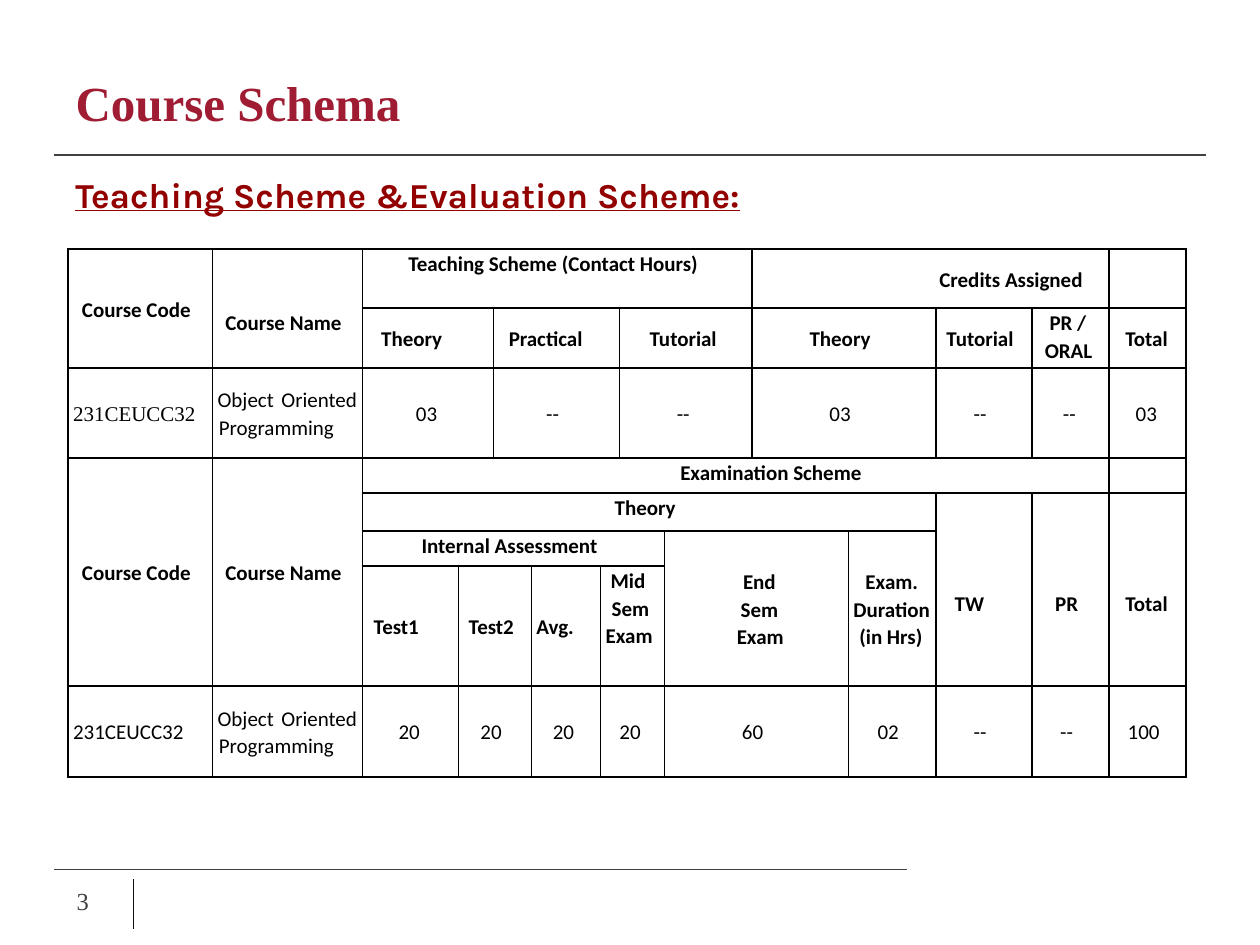
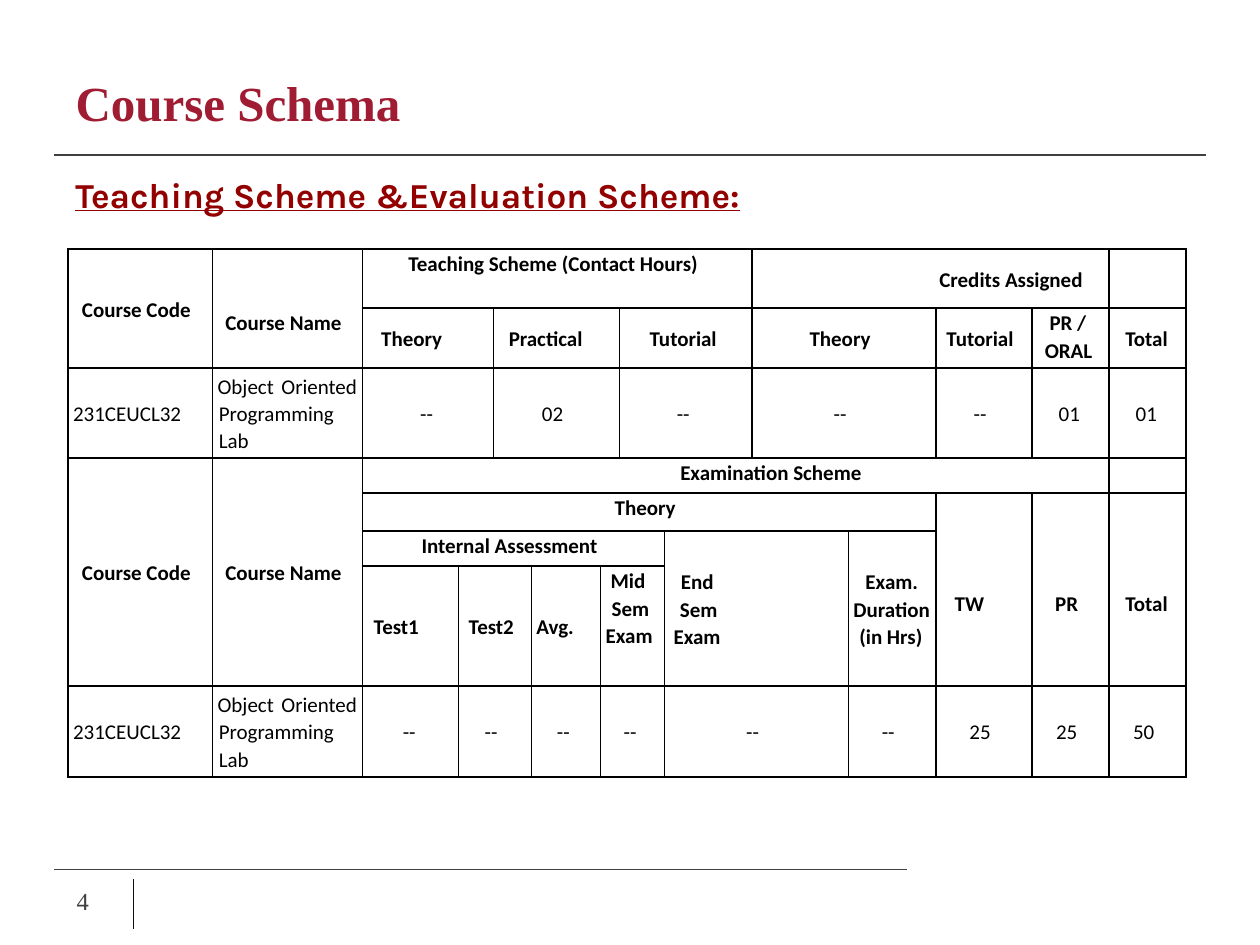
from lxml import etree
from pptx import Presentation
from pptx.dml.color import RGBColor
from pptx.enum.shapes import MSO_CONNECTOR
from pptx.enum.text import MSO_ANCHOR, MSO_AUTO_SIZE, PP_ALIGN
from pptx.oxml.ns import qn
from pptx.util import Pt

STRAIGHT = MSO_CONNECTOR.STRAIGHT
TOP, MIDDLE = MSO_ANCHOR.TOP, MSO_ANCHOR.MIDDLE
LEFT, CENTER, RIGHT, JUSTIFY = PP_ALIGN.LEFT, PP_ALIGN.CENTER, PP_ALIGN.RIGHT, PP_ALIGN.JUSTIFY
GROW = MSO_AUTO_SIZE.SHAPE_TO_FIT_TEXT

COLORS = {"title": "9F1C33", "subtitle": "920000", "rule": "404040",
          "divider": "0D0D0D", "number": "404040", "table": "000000"}
SERIF, SANS, DISPLAY = "Times New Roman", "Calibri", "Karla"
TITLE_ONLY_LAYOUT = 5

# Grid of the scheme table, in points
COLUMN_WIDTHS = [82.6, 85.6, 55, 20, 21.6, 39.6, 10.8, 25.8, 50, 55, 50, 55, 44, 44]
ROW_HEIGHTS = [33.7, 34.3, 51.4, 20, 21.7, 20, 68.6, 52]
HANGING = 0.7
LINE_DROP = 16.4

# Headings: row, column, (rows, columns), text, format
HEADINGS = [
    (0, 0, (2, 1), "Course Code", {}),
    (0, 1, (2, 1), "Course Name", {"top": LINE_DROP}),
    (0, 2, (1, 7), "Teaching Scheme (Contact Hours)", {"anchor": TOP}),
    (0, 9, (1, 4), "Credits Assigned", {"align": RIGHT, "right": 15}),
    (1, 2, (1, 2), "Theory", {"align": LEFT, "left": 11.5}),
    (1, 4, (1, 3), "Practical", {"align": LEFT, "left": 9.4}),
    (1, 7, (1, 2), "Tutorial", {"right": 3}),
    (1, 9, (1, 2), "Theory", {}),
    (1, 11, (1, 1), "Tutorial", {}),
    (1, 12, (1, 1), "PR / ORAL", {"anchor": TOP, "right": 3}),
    (1, 13, (1, 1), "Total", {"align": LEFT, "left": 10}),
    (3, 0, (4, 1), "Course Code", {}),
    (3, 1, (4, 1), "Course Name", {}),
    (3, 2, (1, 11), "Examination Scheme", {"anchor": TOP, "left": 47, "right": 6}),
    (4, 2, (1, 9), "Theory", {"anchor": TOP}),
    (4, 11, (3, 1), "TW", {"align": LEFT, "left": 11.5, "top": LINE_DROP}),
    (4, 12, (3, 1), "PR", {"top": LINE_DROP}),
    (4, 13, (3, 1), "Total", {"align": LEFT, "left": 10, "top": LINE_DROP}),
    (5, 2, (1, 6), "Internal Assessment", {"anchor": TOP}),
    (5, 10, (2, 1), [("Exam.", 10.5), ("Duration", 3.6), ("(in Hrs)", 7)],
     {"align": LEFT, "right": 0}),
    (6, 2, (1, 1), "Test1", {"align": LEFT, "left": 7.2}),
    (6, 3, (1, 2), "Test2", {"align": LEFT, "left": 6.5}),
    (6, 5, (1, 1), "Avg.", {"align": LEFT, "left": 3.6}),
    (6, 6, (1, 2), [("Mid", 6.4), ("Sem", 7), ("Exam", 3.6)],
     {"align": LEFT, "anchor": TOP, "right": 0}),
]

# Value cells: column, columns spanned, right inset
TEACHING_SLOTS = [(2, 2, 1.5), (4, 3, 4.5), (7, 2, 3), (9, 2, 4.5),
                  (11, 1, 4.5), (12, 1, 1.5), (13, 1, 1.5)]
EXAM_SLOTS = [(2, 1, 1.5), (3, 2, 4.5), (5, 1, 3), (6, 2, 3), (8, 2, 4.5),
              (10, 1, 4.5), (11, 1, 4.5), (12, 1, 4.5), (13, 1, 4.5)]

COURSES = [
    {"number": "3", "code": "231CEUCC32", "name": "Object Oriented Programming",
     "first_code_font": SERIF,
     "teaching": ["03", "--", "--", "03", "--", "--", "03"],
     "exam": ["20", "20", "20", "20", "60", "02", "--", "--", "100"],
     "end_sem": [("End", 4), ("Sem", 4), ("Exam", 5)],
     "end_sem_format": {"right": 0}},
    {"number": "4", "code": "231CEUCL32", "name": "Object Oriented Programming Lab",
     "first_code_font": SANS,
     "teaching": ["--", "02", "--", "--", "--", "01", "01"],
     "exam": ["--", "--", "--", "--", "--", "--", "25", "25", "50"],
     "end_sem": [("End", 10), ("Sem", 9.4), ("Exam", 5.8)],
     "end_sem_format": {"align": LEFT}},
]


def add_span(para, text, font, size, color, bold=False, underline=False):
    span = para.add_run()
    span.text = text
    span.font.name = font
    span.font.size = Pt(size)
    span.font.bold = bold
    span.font.underline = underline
    span.font.color.rgb = RGBColor.from_string(COLORS[color])


def add_rule(page, start, end, color):
    rule = page.shapes.add_connector(STRAIGHT, *(Pt(v) for v in start + end))
    rule.line.color.rgb = RGBColor.from_string(COLORS[color])
    rule.line.width = Pt(0.75)
    etree.SubElement(rule._element.spPr, qn("a:effectLst"))


def add_label(page, area, text, font, size, color, **style):
    box = page.shapes.add_textbox(*(Pt(v) for v in area))
    frame = box.text_frame
    frame.word_wrap = True
    add_span(frame.paragraphs[0], text, font, size, color, **style)
    return frame


def add_title(page, text):
    title = page.shapes.title
    title.left, title.top, title.width, title.height = Pt(36), Pt(26), Pt(648), Pt(65)
    title.text_frame.vertical_anchor = MIDDLE
    para = title.text_frame.paragraphs[0]
    para.alignment = LEFT
    add_span(para, text, SERIF, 28, "title", bold=True)


def add_frame(page, number):
    """Rules and page number shared by all pages."""
    add_rule(page, (31, 88.5), (689, 88.5), "rule")
    add_rule(page, (31, 496.7), (518.5, 496.7), "rule")
    add_rule(page, (76.3, 502.5), (76.3, 530.6), "divider")
    label = add_label(page, (36.7, 500.4, 37.4, 28.8), number, SERIF, 14, "number")
    label.vertical_anchor = MIDDLE


def format_blank_cell(cell):
    """Plain cell with thin borders and small empty text."""
    cell.margin_left = cell.margin_right = cell.margin_bottom = 0
    cell.margin_top = Pt(0.7)
    cell.fill.background()
    properties = cell._tc.get_or_add_tcPr()
    for index, side in enumerate(("a:lnL", "a:lnR", "a:lnT", "a:lnB")):
        border = etree.Element(qn(side), w=str(Pt(1)))
        fill = etree.SubElement(border, qn("a:solidFill"))
        etree.SubElement(fill, qn("a:srgbClr"), val=COLORS["table"])
        properties.insert(index, border)
    cell.text_frame.paragraphs[0]._p.get_or_add_endParaRPr().set("sz", "1200")


def fill_cell(table, row, column, spans, text, align=CENTER, anchor=MIDDLE,
              left=HANGING, right=4.5, top=0.7, bold=True, font=SANS):
    cell = table.cell(row, column)
    if spans != (1, 1):
        cell.merge(table.cell(row + spans[0] - 1, column + spans[1] - 1))
    cell.vertical_anchor = anchor
    cell.margin_right = Pt(right)
    cell.margin_top = Pt(top)
    lines = [(text, left)] if isinstance(text, str) else text
    for index, (line, indent) in enumerate(lines):
        frame = cell.text_frame
        para = frame.add_paragraph() if index else frame.paragraphs[0]
        para.alignment = align
        para.line_spacing = 1.07
        properties = para._p.get_or_add_pPr()
        properties.set("marL", str(Pt(indent)))
        properties.set("indent", str(-Pt(HANGING)))
        add_span(para, line, font, 12, "table", bold=bold)


def fill_course_row(table, row, course, slots, values, code_font):
    body = {"align": JUSTIFY, "left": 3.6, "right": 3, "bold": False}
    fill_cell(table, row, 0, (1, 1), course["code"], font=code_font, **body)
    fill_cell(table, row, 1, (1, 1), course["name"], **body)
    for (column, width, right), value in zip(slots, values):
        fill_cell(table, row, column, (1, width), value, right=right, bold=False)


def add_scheme_table(page, course):
    holder = page.shapes.add_table(
        len(ROW_HEIGHTS), len(COLUMN_WIDTHS), Pt(38.9), Pt(142.3),
        Pt(sum(COLUMN_WIDTHS)), Pt(sum(ROW_HEIGHTS)))
    table = holder.table
    table.first_row = table.horz_banding = False
    for column, width in zip(table.columns, COLUMN_WIDTHS):
        column.width = Pt(width)
    for row, height in zip(table.rows, ROW_HEIGHTS):
        row.height = Pt(height)
    for cell in table.iter_cells():
        format_blank_cell(cell)

    # Headings, then the rows of this course
    for row, column, spans, text, style in HEADINGS:
        fill_cell(table, row, column, spans, text, **style)
    fill_cell(table, 5, 8, (2, 2), course["end_sem"], **course["end_sem_format"])
    fill_course_row(table, 2, course, TEACHING_SLOTS, course["teaching"],
                    course["first_code_font"])
    fill_course_row(table, 7, course, EXAM_SLOTS, course["exam"], SANS)


def main():
    deck = Presentation()
    deck.slide_width, deck.slide_height = Pt(720), Pt(540)
    for course in COURSES:
        page = deck.slides.add_slide(deck.slide_layouts[TITLE_ONLY_LAYOUT])
        add_title(page, "Course Schema")
        add_frame(page, course["number"])
        subtitle = add_label(page, (36, 95.8, 617.8, 31.7),
                             "Teaching Scheme &Evaluation Scheme:",
                             DISPLAY, 20, "subtitle", bold=True, underline=True)
        subtitle.auto_size = GROW
        add_scheme_table(page, course)
    deck.save("out.pptx")


if __name__ == "__main__":
    main()
